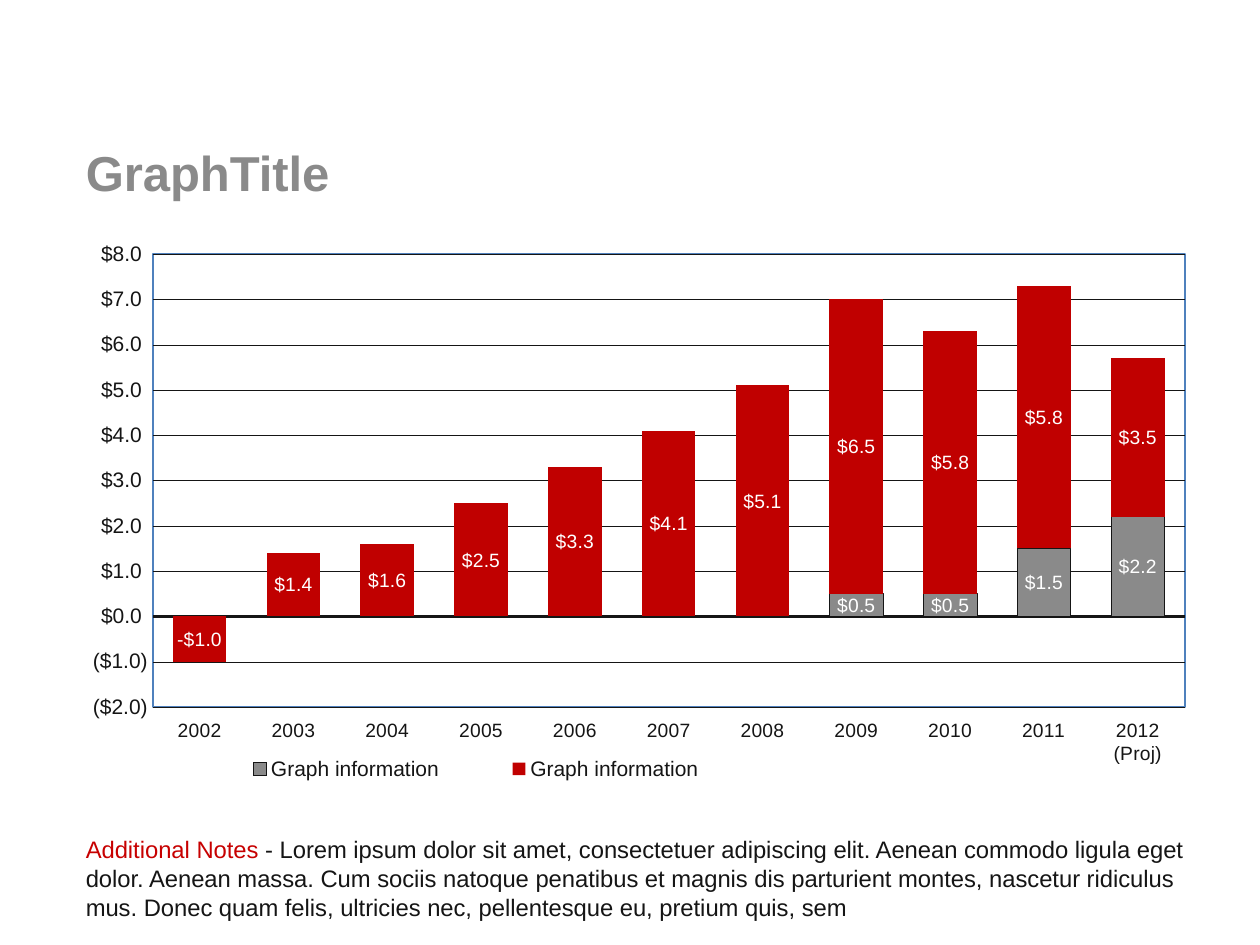
"""Build a slide with a stacked column chart, a title and notes."""
from pptx import Presentation
from pptx.chart.data import CategoryChartData as Data
from pptx.dml.color import RGBColor as RGB
from pptx.enum.chart import XL_CHART_TYPE as Kind
from pptx.enum.chart import XL_LABEL_POSITION as Spot
from pptx.enum.chart import XL_LEGEND_POSITION as Side
from pptx.enum.chart import XL_TICK_LABEL_POSITION as Tag
from pptx.enum.chart import XL_TICK_MARK as Tick
from pptx.oxml import parse_xml
from pptx.oxml.ns import nsdecls
from pptx.util import Cm, Pt

FONT = "Arial"
RED, GREY, INK, WHITE, BLUE = "C00000", "8A8A8A", "151515", "FFFFFF", "4F81BD"
YEARS = [str(year) for year in range(2002, 2012)] + ["2012 (Proj)"]
LOW = [None] * 7 + [0.5, 0.5, 1.5, 2.2]
HIGH = [-1, 1.4, 1.6, 2.5, 3.3, 4.1, 5.1, 6.5, 5.8, 5.8, 3.5]
NAME = "Graph information"
NOTE = ("- Lorem ipsum dolor sit amet, consectetuer adipiscing elit. "
        "Aenean commodo ligula eget dolor. Aenean massa. Cum sociis natoque "
        "penatibus et magnis dis parturient montes, nascetur ridiculus mus. "
        "Donec quam felis, ultricies nec, pellentesque eu, pretium quis, sem")


def tint(code):
    """Turn a hex string into a colour."""
    return RGB.from_string(code)


def style(font, size, code, bold=False):
    """Set face, size and colour of a font."""
    font.name, font.size, font.bold = FONT, Pt(size), bold
    font.color.rgb = tint(code)


def rule(line, code, width):
    """Set colour and width of a line."""
    line.color.rgb = tint(code)
    line.width = Pt(width)


def add_text(slide, box, size, runs, bold=False, gap=0):
    """Add a text box from pairs of text and colour."""
    frame = slide.shapes.add_textbox(*map(Cm, box)).text_frame
    frame.word_wrap = True
    para = frame.paragraphs[0]
    para.space_before = Pt(gap)
    for text, code in runs:
        run = para.add_run()
        run.text = text
        style(run.font, size, code, bold)


def layout(x, y, w, h, inner=False):
    """Make a manual layout from fractions of the chart."""
    aim = '<c:layoutTarget val="inner"/>' if inner else ""
    return parse_xml(
        f'<c:layout {nsdecls("c")}><c:manualLayout>{aim}'
        '<c:xMode val="edge"/><c:yMode val="edge"/>'
        f'<c:x val="{x}"/><c:y val="{y}"/><c:w val="{w}"/><c:h val="{h}"/>'
        '</c:manualLayout></c:layout>')


def set_axes(chart):
    """Style both axes and the grid."""
    cat, val = chart.category_axis, chart.value_axis
    for axis, size in ((cat, 11), (val, 12)):
        axis.major_tick_mark = axis.minor_tick_mark = Tick.NONE
        style(axis.tick_labels.font, size, INK)
    cat.tick_label_position = Tag.LOW
    rule(cat.format.line, INK, 1.39)
    val.minimum_scale, val.maximum_scale, val.major_unit = -2, 8, 1
    val.format.line.fill.background()
    rule(val.major_gridlines.format.line, INK, 0.11)
    val.tick_labels.number_format = '\\$#,##0.0_);"($"#,##0.0\\)'
    val.tick_labels.number_format_is_linked = False


def set_bars(plot):
    """Style the columns and their labels."""
    plot.gap_width, plot.overlap = 75, 100
    for bar, code in zip(plot.series, (GREY, RED)):
        bar.invert_if_negative = False
        bar.format.fill.solid()
        bar.format.fill.fore_color.rgb = tint(code)
        tags = bar.data_labels
        tags.show_value = True
        tags.position = Spot.CENTER
        tags.number_format = "\\$#,##0.0"
        tags.number_format_is_linked = False
        style(tags.font, 11, WHITE)
    rule(plot.series[0].format.line, INK, 0.45)


def set_frame(chart):
    """Place the plot and give it a border."""
    area = chart.plots[0]._element.getparent()
    for old in area.findall("{*}layout"):
        area.remove(old)
    area.insert(0, layout(0.07, 0.04, 0.91, 0.77, True))
    area.append(parse_xml(
        f'<c:spPr {nsdecls("c", "a")}><a:noFill/><a:ln w="12700"><a:solidFill>'
        f'<a:srgbClr val="{BLUE}"/></a:solidFill></a:ln></c:spPr>'))


def set_key(chart):
    """Place and style the legend."""
    chart.has_legend = True
    key = chart.legend
    key.position = Side.BOTTOM
    key.include_in_layout = False
    style(key.font, 12, INK)
    root = key._element
    for old in root.findall("{*}layout"):
        root.remove(old)
    root.find("{*}legendPos").addnext(layout(0.1, 0.89, 0.51, 0.05))


def add_graph(slide, box):
    """Add the stacked column chart."""
    data = Data()
    data.categories = YEARS
    for vals in (LOW, HIGH):
        data.add_series(NAME, vals)
    chart = slide.shapes.add_chart(
        Kind.COLUMN_STACKED, *map(Cm, box), data).chart
    chart.has_title = False
    style(chart.font, 10, "000000")
    set_axes(chart)
    set_bars(chart.plots[0])
    set_frame(chart)
    set_key(chart)


def main():
    """Build and save the slide."""
    deck = Presentation()
    deck.slide_width, deck.slide_height = Cm(25.4), Cm(19.05)
    slide = deck.slides.add_slide(deck.slide_layouts[6])
    add_text(slide, (1.48, 2.74, 8.36, 1.52), 28, [("GraphTitle", GREY)], True)
    add_graph(slide, (1.48, 4.65, 22.86, 11.86))
    notes = [("Additional Notes ", "C70000"), (NOTE, INK)]
    add_text(slide, (1.48, 16.71, 22.86, 1.9), 13.6, notes, gap=2.8)
    deck.save("out.pptx")


if __name__ == "__main__":
    main()
